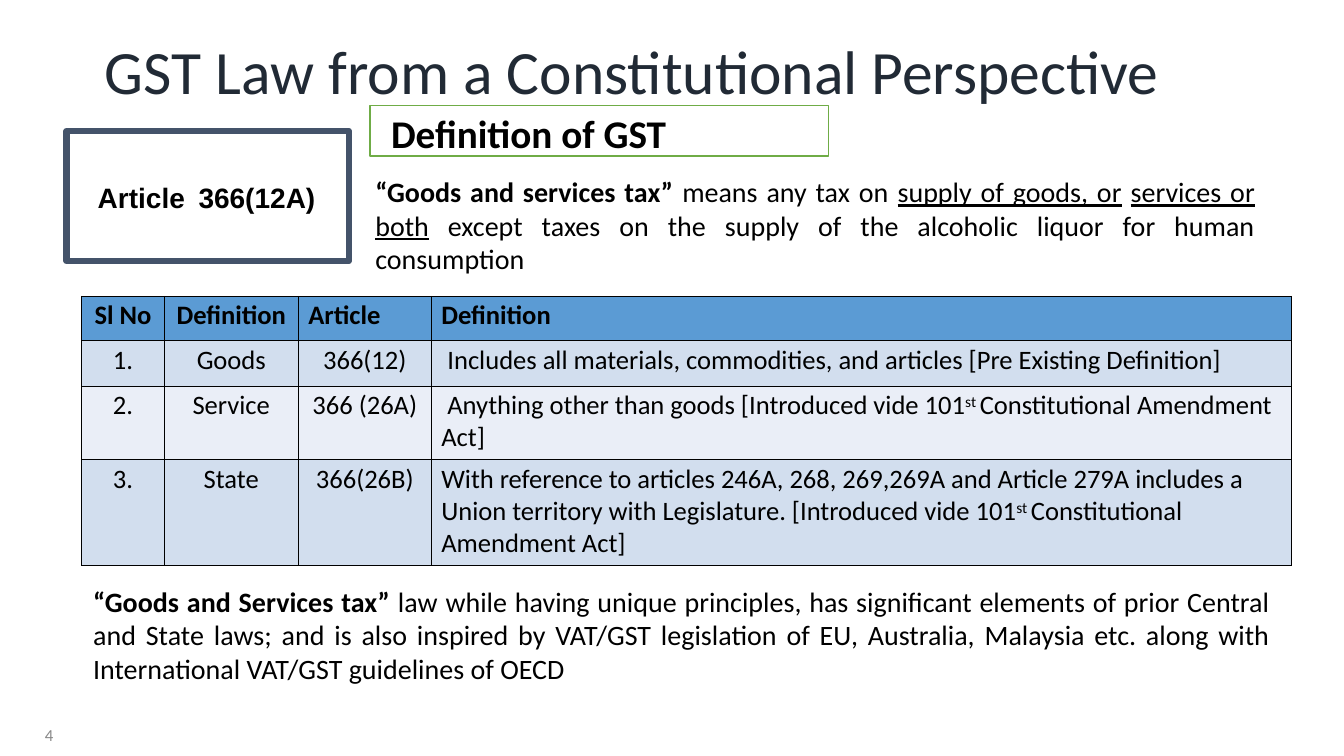
from dataclasses import dataclass

from lxml.etree import SubElement
from pptx import Presentation
from pptx.dml.color import RGBColor
from pptx.enum.shapes import MSO_SHAPE
from pptx.enum.text import MSO_ANCHOR, PP_ALIGN
from pptx.oxml import parse_xml
from pptx.oxml.ns import nsdecls, qn
from pptx.util import Pt


@dataclass(frozen=True)
class Theme:
    body_font: str = "Calibri"
    label_font: str = "Arial"
    title_size: float = 44
    heading_size: float = 28
    body_size: float = 20
    table_size: float = 19
    number_size: float = 12
    text: RGBColor = RGBColor(0x00, 0x00, 0x00)
    title: RGBColor = RGBColor(0x21, 0x2A, 0x35)
    number: RGBColor = RGBColor(0x88, 0x88, 0x88)
    article_line: RGBColor = RGBColor(0x44, 0x53, 0x6A)
    heading_line: RGBColor = RGBColor(0x6F, 0xAC, 0x46)
    header_fill: RGBColor = RGBColor(0x5B, 0x9B, 0xD4)
    odd_fill: RGBColor = RGBColor(0xD2, 0xDE, 0xEE)
    even_fill: RGBColor = RGBColor(0xEA, 0xEE, 0xF7)
    border: str = "000000"


THEME = Theme()
BOLD, UNDERLINE, SUPERSCRIPT = "bold", "underline", "superscript"

COLUMN_WIDTHS = [59, 95.8, 95, 614.2]
ROW_HEIGHTS = [31.7, 32.4, 52.6, 75.6]
HEADERS = ["Sl No", "Definition", "Article", "Definition"]
# Serial number, term, article, first-line indent, definition runs
DEFINITIONS = [
    ("1.", "Goods", "366(12)", 4.3,
     [("Includes all materials, commodities, and articles [Pre Existing Definition]", None)]),
    ("2.", "Service", "366 (26A)", 4.3,
     [("Anything other than goods [Introduced vide 101", None), ("st ", SUPERSCRIPT),
      ("Constitutional Amendment Act]", None)]),
    ("3.", "State", "366(26B)", 0,
     [("With reference to articles 246A, 268, 269,269A and Article 279A includes a "
       "Union territory with Legislature. [Introduced vide 101", None), ("st ", SUPERSCRIPT),
      ("Constitutional Amendment Act]", None)]),
]


def set_indent(paragraph, left, first_line=0):
    properties = paragraph._p.get_or_add_pPr()
    properties.set("marL", str(int(Pt(left))))
    properties.set("indent", str(int(Pt(first_line))))


def write_runs(paragraph, runs, size, color=THEME.text, font=THEME.body_font,
               align=PP_ALIGN.LEFT):
    paragraph.alignment = align
    for text, style in runs:
        run = paragraph.add_run()
        run.text = text
        run.font.name = font
        run.font.size = Pt(size)
        run.font.color.rgb = color
        run.font.bold = style == BOLD
        if style == UNDERLINE:
            run.font.underline = True
        if style == SUPERSCRIPT:
            run._r.get_or_add_rPr().set("baseline", "27000")


def prepare_frame(frame, top_margin=1, anchor=MSO_ANCHOR.TOP):
    frame.word_wrap = True
    frame.margin_left = frame.margin_right = frame.margin_bottom = 0
    frame.margin_top = Pt(top_margin)
    frame.vertical_anchor = anchor
    return frame.paragraphs[0]


def add_text(slide, box, runs, size, indent=1, anchor=MSO_ANCHOR.TOP, **style):
    shape = slide.shapes.add_textbox(*map(Pt, box))
    paragraph = prepare_frame(shape.text_frame, anchor=anchor)
    set_indent(paragraph, indent)
    write_runs(paragraph, runs, size, **style)


def add_outlined_box(slide, box, line_color, line_width, text, size, indent,
                     tab=None, font=THEME.body_font):
    shape = slide.shapes.add_shape(MSO_SHAPE.RECTANGLE, *map(Pt, box))
    shape.shadow.inherit = False
    shape.fill.background()
    shape.line.color.rgb = line_color
    shape.line.width = Pt(line_width)
    paragraph = prepare_frame(shape.text_frame, 2, MSO_ANCHOR.MIDDLE)
    set_indent(paragraph, indent)
    if tab:
        tabs = SubElement(paragraph._p.get_or_add_pPr(), qn("a:tabLst"))
        SubElement(tabs, qn("a:tab"), pos=str(int(Pt(tab))), algn="l")
    write_runs(paragraph, [(text, BOLD)], size, font=font)


def add_borders(cell):
    properties = cell._tc.get_or_add_tcPr()
    for position, side in enumerate(("lnL", "lnR", "lnT", "lnB")):
        properties.insert(position, parse_xml(
            f'<a:{side} {nsdecls("a")} w="{int(Pt(1))}"><a:solidFill>'
            f'<a:srgbClr val="{THEME.border}"/></a:solidFill></a:{side}>'))


def fill_cell(cell, fill, runs, centred, first_line=0):
    cell.margin_left = cell.margin_right = cell.margin_bottom = 0
    cell.margin_top = Pt(2.4)
    cell.fill.solid()
    cell.fill.fore_color.rgb = fill
    add_borders(cell)
    paragraph = cell.text_frame.paragraphs[0]
    if not centred:
        set_indent(paragraph, 7.2, first_line)
    write_runs(paragraph, runs, THEME.table_size,
               align=PP_ALIGN.CENTER if centred else PP_ALIGN.LEFT)


def add_definition_table(slide):
    frame = slide.shapes.add_table(
        len(ROW_HEIGHTS), len(COLUMN_WIDTHS), Pt(58.3), Pt(211.7),
        Pt(sum(COLUMN_WIDTHS)), Pt(sum(ROW_HEIGHTS)))
    table = frame.table
    for column, width in zip(table.columns, COLUMN_WIDTHS):
        column.width = Pt(width)
    for row, height in zip(table.rows, ROW_HEIGHTS):
        row.height = Pt(height)

    for column, header in enumerate(HEADERS):
        fill_cell(table.cell(0, column), THEME.header_fill, [(header, BOLD)], column < 2)
    for row, (*labels, first_line, definition) in enumerate(DEFINITIONS, start=1):
        fill = THEME.odd_fill if row % 2 else THEME.even_fill
        for column, label in enumerate(labels):
            fill_cell(table.cell(row, column), fill, [(label, None)], True)
        fill_cell(table.cell(row, len(labels)), fill, definition, False, first_line)


def main():
    presentation = Presentation()
    presentation.slide_width, presentation.slide_height = Pt(960), Pt(540)
    slide = presentation.slides.add_slide(presentation.slide_layouts[6])

    # Title and slide number
    add_text(slide, (72, 22.3, 828, 54.7),
             [("GST Law from a Constitutional Perspective", None)],
             THEME.title_size, indent=3, anchor=MSO_ANCHOR.MIDDLE, color=THEME.title)
    add_text(slide, (31, 517, 8, 16.5), [("4", None)], THEME.number_size,
             color=THEME.number)

    # Article and definition of the tax
    add_outlined_box(slide, (47.5, 93.6, 201.6, 92.9), THEME.article_line, 4.5,
                     "Article\t366(12A)", THEME.body_size, 22.3, tab=95.8,
                     font=THEME.label_font)
    add_outlined_box(slide, (264.2, 75.6, 327.6, 36), THEME.heading_line, 1,
                     "Definition of GST", THEME.heading_size, 15.1)
    add_text(slide, (267.1, 123.8, 629.3, 74), [
        ("“Goods and services tax” ", BOLD),
        ("means any tax on ", None),
        ("supply of goods, or", UNDERLINE),
        (" ", None),
        ("services or both", UNDERLINE),
        (" except taxes on the supply of the alcoholic liquor for human consumption", None),
    ], THEME.body_size, align=PP_ALIGN.JUSTIFY)

    # Related definitions
    add_definition_table(slide)

    # Closing remark
    add_text(slide, (65.5, 416.2, 841.7, 74.2), [
        ("“Goods and Services tax” ", BOLD),
        ("law while having unique principles, has significant elements of prior Central "
         "and State laws; and is also inspired by VAT/GST legislation of EU, Australia, "
         "Malaysia etc. along with International VAT/GST guidelines of OECD", None),
    ], THEME.body_size, align=PP_ALIGN.JUSTIFY)

    presentation.save("out.pptx")


if __name__ == "__main__":
    main()
